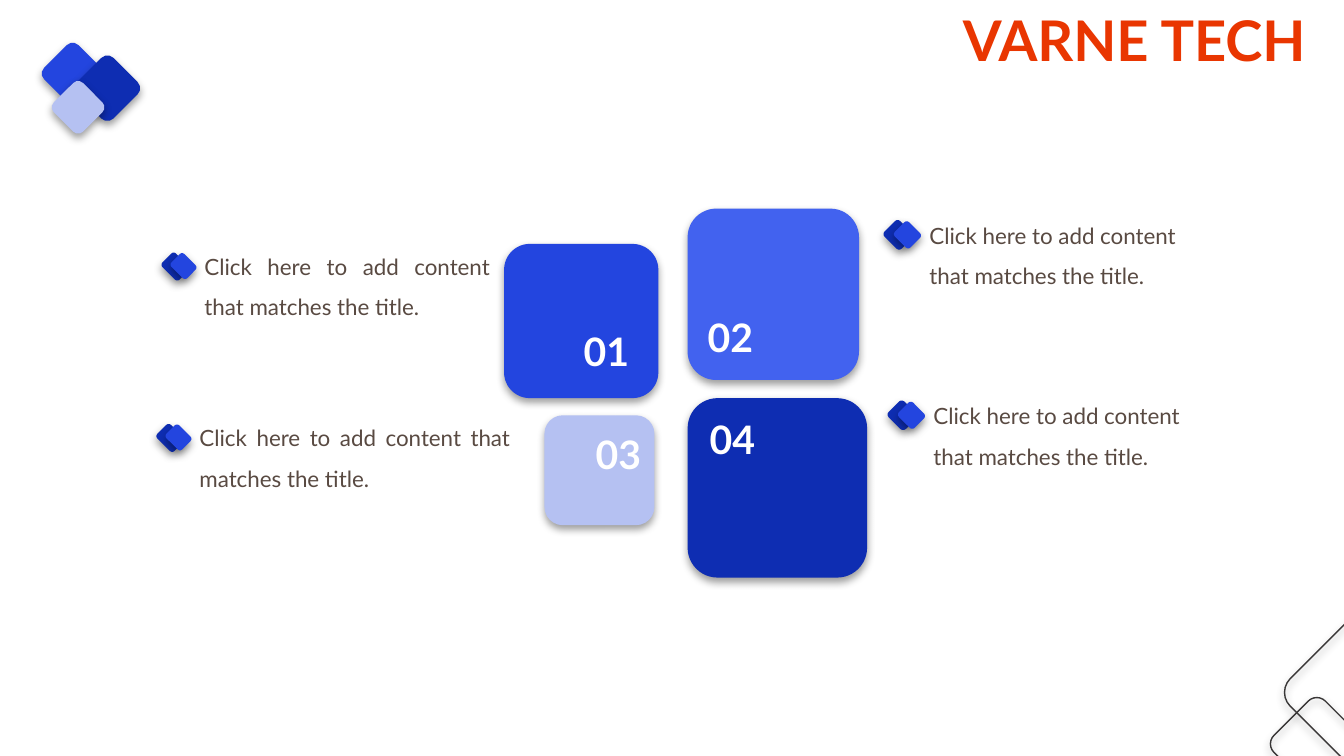
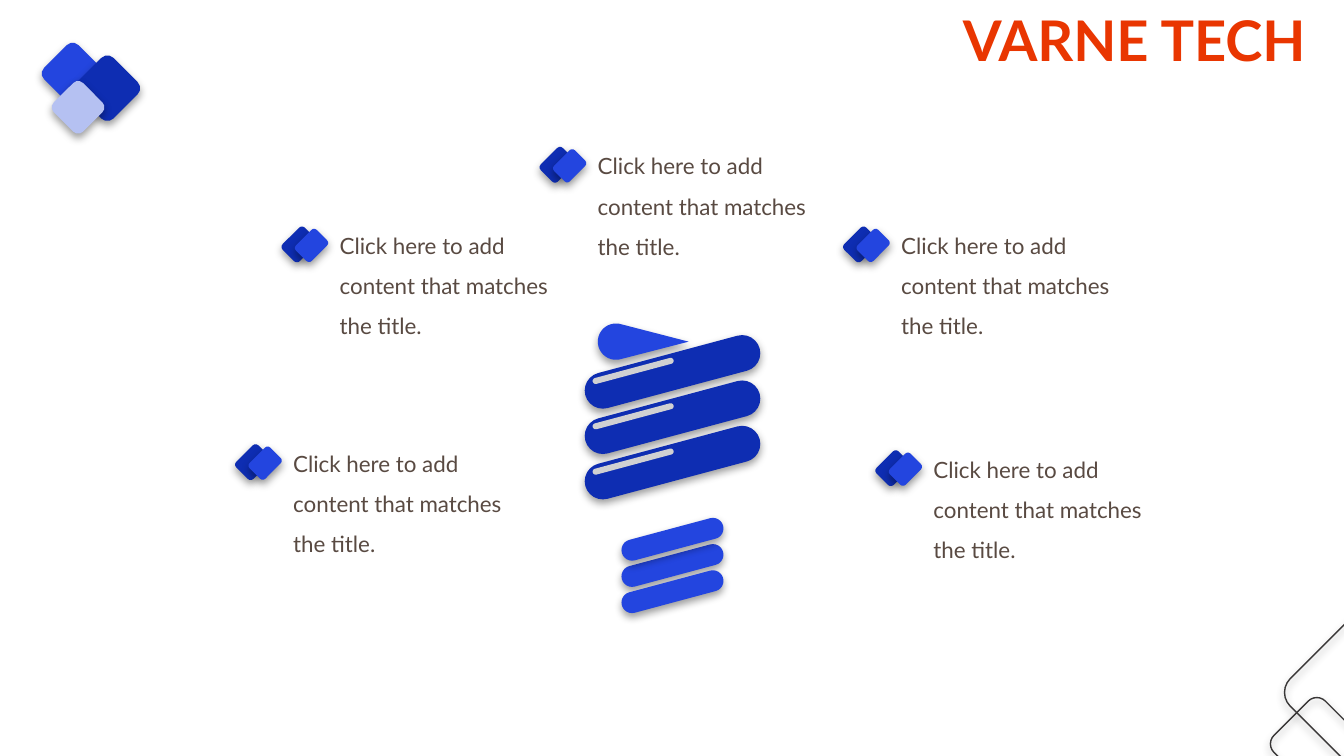
from math import acos, cos, pi, sin

from lxml.etree import SubElement
from pptx import Presentation
from pptx.dml.color import RGBColor
from pptx.enum.shapes import MSO_SHAPE
from pptx.enum.text import MSO_ANCHOR, MSO_AUTO_SIZE, PP_ALIGN
from pptx.oxml.ns import qn
from pptx.util import Inches, Pt

ORANGE = RGBColor(0xE9, 0x36, 0x01)
BLUE = RGBColor(0x23, 0x45, 0xDF)
BRIGHT = RGBColor(0x42, 0x62, 0xEF)
NAVY = RGBColor(0x0E, 0x2D, 0xB2)
PALE = RGBColor(0xB5, 0xC1, 0xF2)
GREY = RGBColor(0xD0, 0xD0, 0xD2)
WHITE = RGBColor(0xFF, 0xFF, 0xFF)
BROWN = RGBColor(0x59, 0x4A, 0x42)
CHARCOAL = RGBColor(0x39, 0x37, 0x37)

FONT = "Lato"
TITLE = "VARNE TECH"
CONTENT = "Click here to add content that matches the title."

# Back and front diamond of a marker: offset from the text box, then size
RIGHT_MARKER = ((-0.33, 0.2, 0.24, 0.22), (-0.23, 0.21, 0.22, 0.2))
LEFT_MARKER = ((-0.31, 0.22, 0.24, 0.19), (-0.22, 0.22, 0.22, 0.18))
LARGE_MARKER = ((-0.42, 0.15, 0.24, 0.31), (-0.29, 0.17, 0.22, 0.29))


def write(frame, text, size, color, bold=False, align=PP_ALIGN.LEFT, spacing=1.0):
    frame.word_wrap = True
    frame.auto_size = MSO_AUTO_SIZE.NONE
    frame.vertical_anchor = MSO_ANCHOR.TOP
    para = frame.paragraphs[0]
    para.alignment = align
    para.line_spacing = spacing
    span = para.add_run()
    span.text = text
    span.font.name = FONT
    span.font.size = Pt(size)
    span.font.bold = bold
    span.font.color.rgb = color


def add_shadow(shape):
    effects = shape._element.spPr.get_or_add_effectLst() if hasattr(
        shape._element.spPr, "get_or_add_effectLst") else None
    if effects is None:
        shape.shadow.inherit = False
        effects = shape._element.spPr.find(qn("a:effectLst"))
    shadow = SubElement(effects, qn("a:outerShdw"), blurRad=str(Pt(6)),
                        dist=str(Pt(3)), dir="5400000", algn="t", rotWithShape="0")
    black = SubElement(shadow, qn("a:srgbClr"), val="000000")
    SubElement(black, qn("a:alpha"), val="39000")


class SlideBuilder:
    """Holds the deck's style and the slide being built."""

    def __init__(self):
        self.deck = Presentation()
        self.deck.slide_width = Inches(13.33)
        self.deck.slide_height = Inches(7.5)
        self.page = None

    def new_page(self):
        self.page = self.deck.slides.add_slide(self.deck.slide_layouts[5])
        title = self.page.shapes.title
        title.left, title.top = Inches(9.45), Inches(0)
        title.width, title.height = Inches(3.88), Inches(0.77)
        write(title.text_frame, TITLE, 40, ORANGE, bold=True)
        for left, top, size, color in ((0.48, 0.49, 0.48, BLUE),
                                       (0.81, 0.62, 0.51, NAVY),
                                       (0.57, 0.86, 0.41, PALE)):
            self.block(left, top, size, size, color, rotation=45)
        for left, top, size in ((12.7, 7.02, 0.72), (12.9, 6.29, 1.16)):
            self.block(left, top, size, size, outline=CHARCOAL, rotation=45)

    def paint(self, shape, fill=None, outline=None, shadow=True):
        shape.shadow.inherit = False
        if shadow:
            add_shadow(shape)
        if fill is None:
            shape.fill.background()
        else:
            shape.fill.solid()
            shape.fill.fore_color.rgb = fill
        if outline is None:
            shape.line.fill.background()
        else:
            shape.line.color.rgb = outline
            shape.line.width = Pt(1)

    def block(self, left, top, width, height, fill=None, outline=None,
              rotation=0, shadow=True):
        shape = self.page.shapes.add_shape(
            MSO_SHAPE.ROUNDED_RECTANGLE,
            Inches(left), Inches(top), Inches(width), Inches(height))
        shape.rotation = rotation
        self.paint(shape, fill, outline, shadow)
        return shape

    def bar(self, center_x, center_y, length, thickness, fill, shadow=True):
        """Slanted bar with round ends, placed by its centre."""
        shape = self.block(center_x - length / 2, center_y - thickness / 2,
                           length, thickness, fill, rotation=-15, shadow=shadow)
        shape.adjustments[0] = 0.5

    def drop(self, center_x, center_y, radius, tip_x, fill):
        """Circle drawn out to a point on its right."""
        start = acos(radius / (tip_x - center_x))
        steps = 40
        angles = [start + (2 * pi - 2 * start) * i / steps for i in range(steps + 1)]
        points = [(Inches(center_x + radius * cos(angle)),
                   Inches(center_y + radius * sin(angle))) for angle in angles]
        builder = self.page.shapes.build_freeform(Inches(tip_x), Inches(center_y))
        builder.add_line_segments(points, close=True)
        self.paint(builder.convert_to_shape(), fill)

    def text(self, left, top, width, height, text, **style):
        box = self.page.shapes.add_textbox(
            Inches(left), Inches(top), Inches(width), Inches(height))
        write(box.text_frame, text, **style)

    def item(self, left, top, width, height, marker, align=PP_ALIGN.LEFT):
        self.text(left, top, width, height, CONTENT, size=16, color=BROWN,
                  align=align, spacing=1.5)
        for (dx, dy, wide, high), color in zip(marker, (NAVY, BLUE)):
            self.block(left + dx, top + dy, wide, high, color, rotation=45)


def build_tiles(slides):
    slides.new_page()
    for left, top, size, color in ((6.82, 3.95, 1.78, NAVY),
                                   (5.4, 4.12, 1.09, PALE),
                                   (6.82, 2.07, 1.7, BRIGHT),
                                   (5, 2.42, 1.53, BLUE)):
        slides.block(left, top, size, size, color)
    number_places = ((5.69, 3.2), (6.92, 3.06), (5.81, 4.22), (6.94, 4.07))
    for number, (left, top) in enumerate(number_places, 1):
        slides.text(left, top, 1.11, 0.57, f"{number:02}",
                    size=28, color=WHITE, bold=True)
    for left, top in ((9.12, 2.02), (9.16, 3.81)):
        slides.item(left, top, 2.95, 1.27, RIGHT_MARKER)
    for left, top, width in ((1.93, 2.33, 3.03), (1.88, 4.03, 3.28)):
        slides.item(left, top, width, 0.86, LEFT_MARKER, PP_ALIGN.JUSTIFY)


def build_bulb(slides):
    slides.new_page()
    middle = 6.67
    for row in (1, 2, 0):
        slides.bar(middle, 5.35 + 0.26 * row, 1.04, 0.21, BLUE)
    slides.drop(6.11, 3.39, 0.18, 6.83, BLUE)
    for row in range(3):
        center_y = 3.69 + 0.45 * row
        slides.bar(middle, center_y, 1.79, 0.36, NAVY)
        slides.bar(middle - 0.39, center_y - 0.01, 0.83, 0.06, GREY, shadow=False)
    for left, top in ((2.81, 4.28), (3.27, 2.12), (5.83, 1.33),
                      (8.84, 2.12), (9.16, 4.34)):
        slides.item(left, top, 2.51, 1.67, LARGE_MARKER)


def main():
    slides = SlideBuilder()
    build_tiles(slides)
    build_bulb(slides)
    slides.deck.save("out.pptx")


if __name__ == "__main__":
    main()
